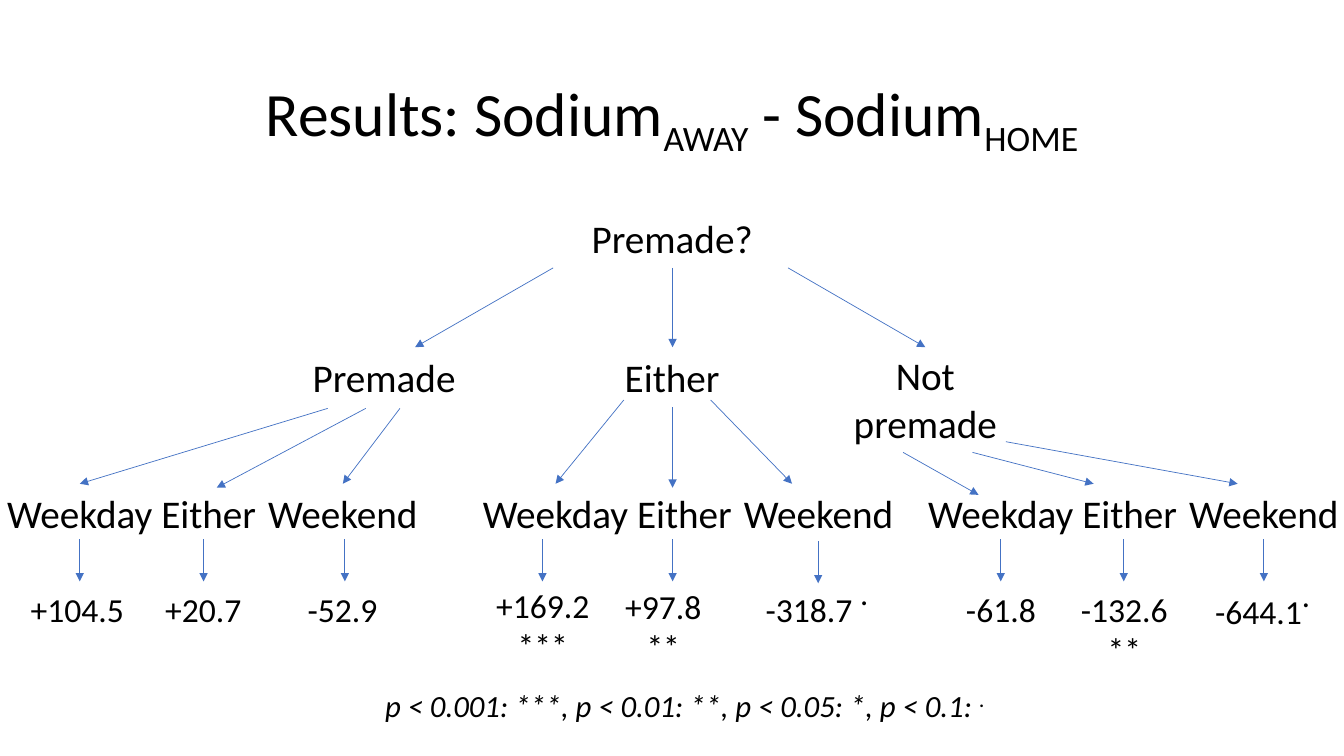
from dataclasses import dataclass
from lxml import etree
from pptx import Presentation
from pptx.dml.color import RGBColor
from pptx.enum.shapes import MSO_CONNECTOR
from pptx.enum.text import MSO_ANCHOR, MSO_AUTO_SIZE, PP_ALIGN
from pptx.oxml.ns import qn
from pptx.util import Cm, Pt

STRAIGHT = MSO_CONNECTOR.STRAIGHT
MIDDLE = MSO_ANCHOR.MIDDLE
NO_FIT = MSO_AUTO_SIZE.NONE
CENTER = PP_ALIGN.CENTER


@dataclass(frozen=True)
class Theme:
    """Colours, font and type sizes of the slide."""
    font: str = "Calibri"
    ink: RGBColor = RGBColor(0, 0, 0)
    arrow: RGBColor = RGBColor(0x44, 0x72, 0xC4)
    paper: RGBColor = RGBColor(255, 255, 255)
    line: float = 0.5
    title: int = 44
    node: int = 28
    value: int = 24
    note: int = 22
    dot: int = 40


THEME = Theme()
NODE_W, NODE_H = 5.44, 1.45
DAYS = [("Weekday", 0), ("Either", 3.25), ("Weekend", 6.63)]
DAY_TOP, STEM_TOP, STEM_LEN = 3.46, 4.85, 1.06
MARK = (".", THEME.dot, 30)

BRANCHES = [
    {
        "box": (-0.71, 8.74),
        "node": ("Premade", 7.67, 0.05, NODE_H),
        "forks": [(8.97, 1.55, 2.72, 3.45), (9.93, 1.55, 6.17, 3.55),
                  (10.79, 1.55, 9.35, 3.45)],
        "stems": [(2.72, 0), (5.84, 0), (9.4, 0)],
        "values": [
            ((1.1, 5.97, 3.12, 1.27), [[("+104.5",)]]),
            ((4.49, 5.97, 2.69, 1.27), [[("+20.7",)]]),
            ((8, 5.97, 2.69, 1.27), [[("-52.9",)]]),
        ],
    },
    {
        "box": (11.28, 8.74),
        "node": ("Either", 2.94, 0.05, NODE_H),
        "forks": [(4.44, 1.34, 2.72, 3.45), (5.67, 1.52, 5.67, 3.55),
                  (6.63, 1.34, 8.68, 3.45)],
        "stems": [(2.39, 0), (5.67, 0), (9.34, 0.05)],
        "values": [
            ((0.84, 5.87, 3.12, 2.31), [[("+169.2***",)]]),
            ((4.09, 5.89, 2.69, 2.31), [[("+97.8**",)]]),
            ((7.62, 5.41, 3.38, 1.96), [[("-318.7 ",), MARK]]),
        ],
    },
    {
        "box": (22.5, 8.74),
        "node": ("Not premade", -1.9, 0, 2.64),
        "forks": [(0.26, 2.66, 2.16, 3.73), (2.01, 2.66, 5.06, 3.45),
                  (2.85, 2.39, 8.69, 3.45)],
        "stems": [(2.72, 0), (5.82, 0), (9.35, 0)],
        "values": [
            ((1.38, 5.97, 2.69, 1.27), [[("-61.8",)]]),
            ((3.64, 5.97, 4.39, 2.31), [[("-132.6",)], [("**",)]]),
            ((7.29, 5.46, 4.06, 1.96), [[("-644.1",), MARK]]),
        ],
    },
]


def add_run(para, text, size, base=0, bold=None, italic=None):
    """Add one styled run, raised or lowered by base percent."""
    run = para.add_run()
    run.text = text
    font = run.font
    font.name, font.size = THEME.font, Pt(size)
    font.bold, font.italic = bold, italic
    font.color.rgb = THEME.ink
    if base:
        run._r.get_or_add_rPr().set("baseline", str(base * 1000))


def add_text(shapes, box, paras, size):
    """Add a wrapped, centred text box and return its frame."""
    frame = shapes.add_textbox(*map(Cm, box)).text_frame
    frame.word_wrap = True
    for i, runs in enumerate(paras):
        para = frame.add_paragraph() if i else frame.paragraphs[0]
        para.alignment = CENTER
        for text, *style in runs:
            add_run(para, text, *(style or [size]))
    return frame


def add_arrow(shapes, left, top, ends):
    """Add a thin arrow whose ends are relative to left and top."""
    x1, y1, x2, y2 = ends
    arrow = shapes.add_connector(STRAIGHT, Cm(left + x1), Cm(top + y1),
                                 Cm(left + x2), Cm(top + y2))
    arrow.line.color.rgb = THEME.arrow
    arrow.line.width = Pt(THEME.line)
    tail = etree.SubElement(arrow.line._get_or_add_ln(), qn("a:tailEnd"))
    tail.set("type", "triangle")
    etree.SubElement(arrow._element.spPr, qn("a:effectLst"))


def draw_title(slide, box):
    """Place and fill the title with its subscripts."""
    title = slide.shapes.title
    title.left, title.top, title.width, title.height = map(Cm, box)
    frame = title.text_frame
    frame.auto_size, frame.vertical_anchor = NO_FIT, MIDDLE
    frame.word_wrap = True
    para = frame.paragraphs[0]
    para.alignment, para.line_spacing = CENTER, 0.9
    for text, base in [("Results: Sodium", 0), ("AWAY", -25),
                       (" - Sodium", 0), ("HOME", -25)]:
        add_run(para, text, THEME.title, base)


def draw_root(slide, box):
    """Draw the top question and its three arrows."""
    left, top = box[:2]
    add_text(slide.shapes, box, [[("Premade?",)]], THEME.node)
    for start, end in [(4.57, 1.09), (7.58, 7.58), (10.49, 13.95)]:
        add_arrow(slide.shapes, left, top, (start, 1.47, end, 3.47))


def draw_branch(slide, box, node, forks, stems, values):
    """Draw one answer with its days, arrows and values."""
    left, top = box
    shapes = slide.shapes
    name, x, y, high = node
    add_text(shapes, (left + x, top + y, NODE_W, high), [[(name,)]], THEME.node)
    group = shapes.add_group_shape()
    for day, x in DAYS:
        add_text(group.shapes, (left + x, top + DAY_TOP, NODE_W, NODE_H),
                 [[(day,)]], THEME.node)
    for fork in forks:
        add_arrow(shapes, left, top, fork)
    for x, drop in stems:
        start = STEM_TOP + drop
        add_arrow(shapes, left, top, (x, start, x, start + STEM_LEN))
    for (x, y, wide, high), paras in values:
        add_text(shapes, (left + x, top + y, wide, high), paras, THEME.value)


def draw_note(slide, box):
    """Draw the key to the significance marks."""
    key = "p < 0.001: ***, p < 0.01: **, p < 0.05: *, p < 0.1: "
    runs = [(key, THEME.note, 0, None, True), (".", THEME.note, 30, True, True)]
    add_text(slide.shapes, box, [runs], THEME.note)


def main():
    """Build and save the slide."""
    deck = Presentation()
    deck.slide_width, deck.slide_height = Cm(33.87), Cm(19.05)
    slide = deck.slides.add_slide(deck.slide_layouts[5])
    slide.background.fill.solid()
    slide.background.fill.fore_color.rgb = THEME.paper
    draw_title(slide, (2.33, 1.02, 29.21, 3.68))
    draw_root(slide, (9.37, 5.28, 15.14, 1.45))
    for branch in BRANCHES:
        draw_branch(slide, **branch)
    draw_note(slide, (7.44, 17.17, 19.63, 1.96))
    deck.save("out.pptx")


main()
